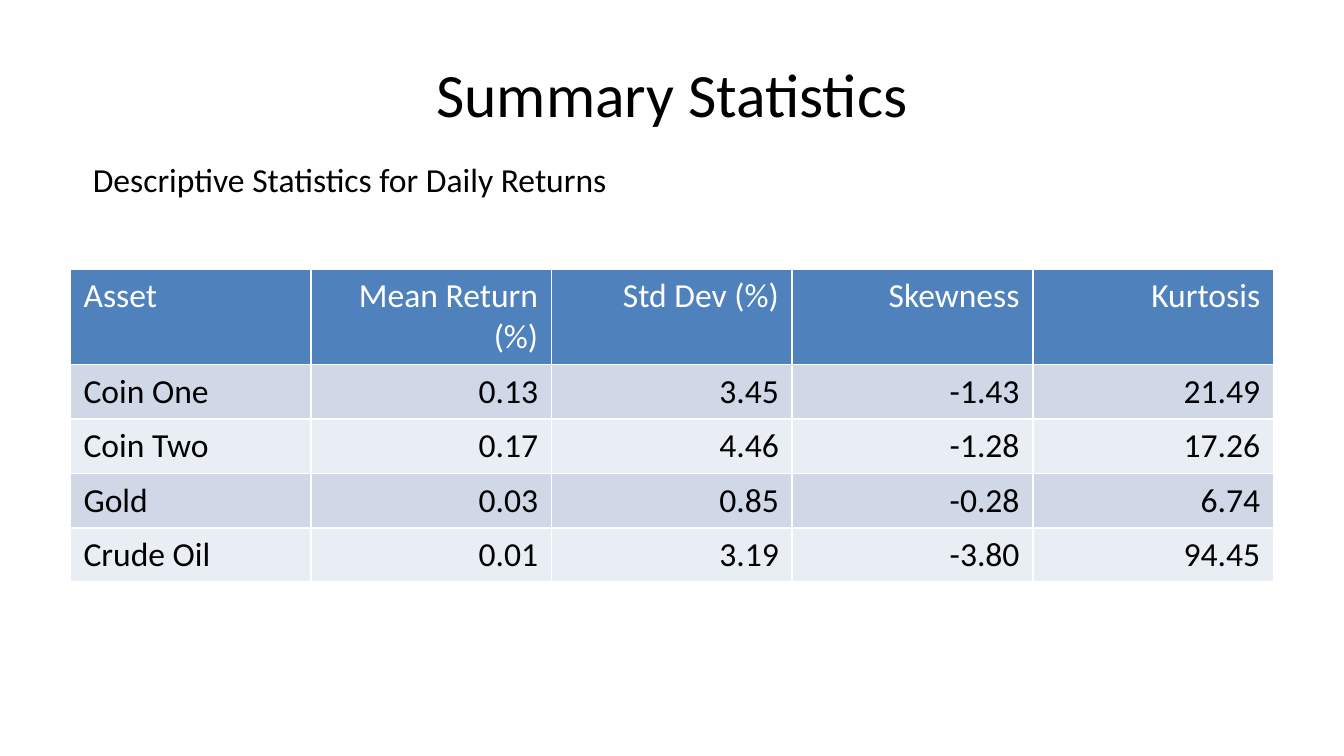
from pptx import Presentation
from pptx.dml.color import RGBColor
from pptx.enum.text import MSO_ANCHOR as Anchor, PP_ALIGN as Align
from pptx.util import Pt

COLORS = {
    "text": "000000",
    "header_text": "FFFFFF",
    "header": "4F81BD",
    "odd_row": "D0D8E8",
    "even_row": "E9EDF4",
}
FONT = "Calibri"
TITLE_ONLY = 5
HEADER_HEIGHT = 51.1
ROW_HEIGHT = 29.2

STATISTICS = [
    ["Asset", "Mean Return (%)", "Std Dev (%)", "Skewness", "Kurtosis"],
    ["Coin One", "0.13", "3.45", "-1.43", "21.49"],
    ["Coin Two", "0.17", "4.46", "-1.28", "17.26"],
    ["Gold", "0.03", "0.85", "-0.28", "6.74"],
    ["Crude Oil", "0.01", "3.19", "-3.80", "94.45"],
]


def write_text(frame, text, size=18, color="text", align=Align.LEFT):
    frame.word_wrap = True
    paragraph = frame.paragraphs[0]
    paragraph.alignment = align
    run = paragraph.add_run()
    run.text = text
    run.font.name = FONT
    run.font.size = Pt(size)
    run.font.bold = False
    run.font.color.rgb = RGBColor.from_string(COLORS[color])


def add_title(slide, text):
    title = slide.shapes.title
    title.left, title.top, title.width, title.height = Pt(36), Pt(16.2), Pt(648), Pt(67.5)
    title.text_frame.vertical_anchor = Anchor.MIDDLE
    write_text(title.text_frame, text, size=33, align=Align.CENTER)


def add_subtitle(slide, text):
    box = slide.shapes.add_textbox(Pt(42.7), Pt(62.2), Pt(648), Pt(67.5))
    box.text_frame.vertical_anchor = Anchor.MIDDLE
    write_text(box.text_frame, text)


def add_statistics_table(slide, rows):
    height = HEADER_HEIGHT + ROW_HEIGHT * (len(rows) - 1)
    shape = slide.shapes.add_table(
        len(rows), len(rows[0]), Pt(37.6), Pt(144), Pt(644.8), Pt(height)
    )
    table = shape.table
    for row_index, values in enumerate(rows):
        is_header = row_index == 0
        table.rows[row_index].height = Pt(HEADER_HEIGHT if is_header else ROW_HEIGHT)
        band = "odd_row" if row_index % 2 else "even_row"
        fill = "header" if is_header else band
        for column_index, value in enumerate(values):
            cell = table.cell(row_index, column_index)
            cell.fill.solid()
            cell.fill.fore_color.rgb = RGBColor.from_string(COLORS[fill])
            write_text(
                cell.text_frame,
                value,
                color="header_text" if is_header else "text",
                align=Align.RIGHT if column_index else Align.LEFT,
            )


def main():
    presentation = Presentation()
    presentation.slide_width = Pt(720)
    presentation.slide_height = Pt(405)
    slide = presentation.slides.add_slide(presentation.slide_layouts[TITLE_ONLY])
    add_title(slide, "Summary Statistics")
    add_statistics_table(slide, STATISTICS)
    add_subtitle(slide, "Descriptive Statistics for Daily Returns")
    presentation.save("out.pptx")


if __name__ == "__main__":
    main()
